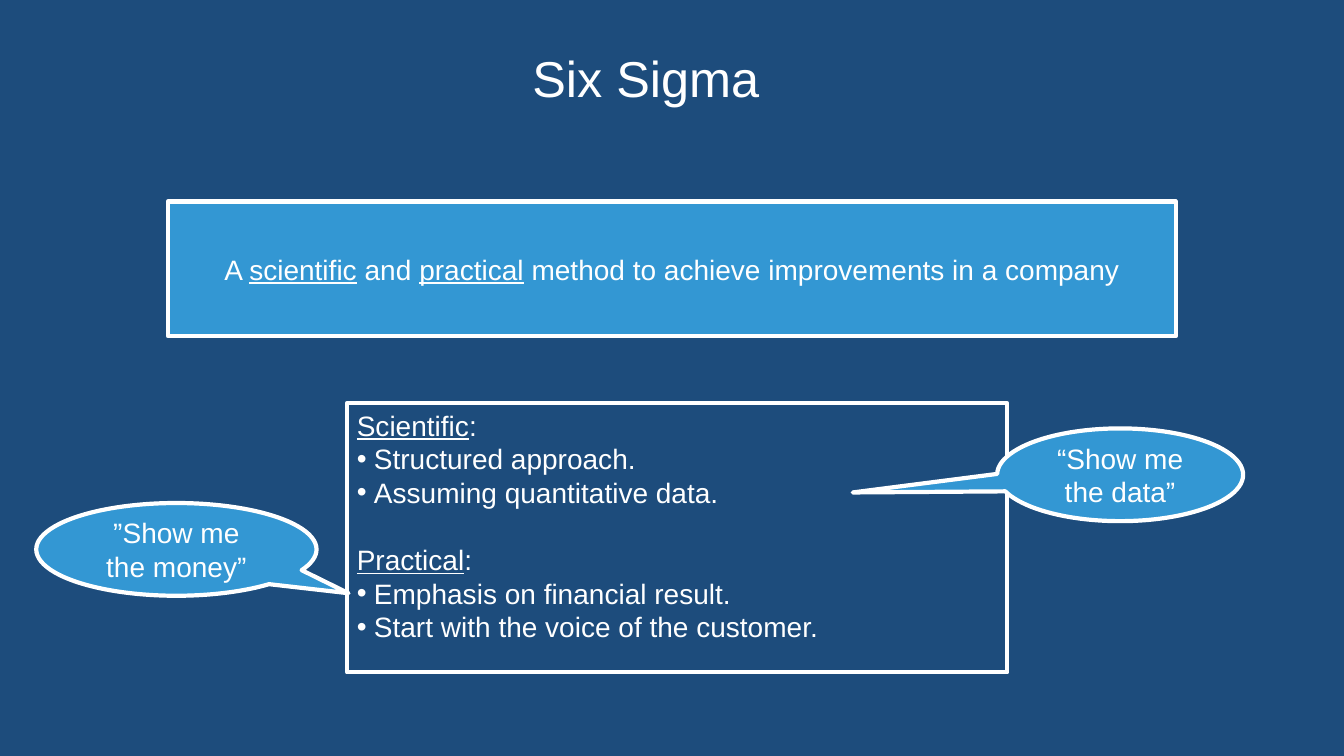
"""Builds the Six Sigma slide: a definition, its two sides, and two callouts."""
from pptx import Presentation
from pptx.dml.color import RGBColor as Rgb
from pptx.enum.shapes import MSO_SHAPE as Kind
from pptx.enum.text import MSO_ANCHOR as Anchor, PP_ALIGN as Align
from pptx.oxml.ns import qn
from pptx.util import Inches, Pt
from lxml.etree import SubElement as Sub

HUES = {"back": "1D4C7C", "fill": "3397D3", "ink": "FFFFFF"}
WIDE, HIGH = 13.33, 7.5
SIZE, HEAD, EDGE = 20, 36, 3
DENT, GAP = 0.17, 24

TITLE = "Six Sigma"
CLAIM = [("A ", False), ("scientific", True), (" and ", False), ("practical", True),
         (" method to achieve improvements in a company", False)]
SIDES = [
    ("Scientific", ["Structured approach.", "Assuming quantitative data."]),
    ("Practical", ["Emphasis on financial result.", "Start with the voice of the customer."]),
]
QUOTES = [
    (["“Show me", "the data”"], (9.89, 4.25, 2.44, 0.92), (-1.087, 0.191)),
    (["”Show me", "the money”"], (0.36, 4.99, 2.78, 0.92), (0.614, 0.473)),
]


def hue(name):
    return Rgb.from_string(HUES[name])


def write(para, runs, size=SIZE):
    for text, under in runs:
        run = para.add_run()
        run.text = text
        font = run.font
        font.name, font.size, font.underline = "Arial", Pt(size), under
        font.color.rgb = hue("ink")


def fill_text(frame, lines, align):
    for num, runs in enumerate(lines):
        para = frame.add_paragraph() if num else frame.paragraphs[0]
        para.alignment = align
        write(para, runs)


def draw(slide, kind, box, solid=True):
    shape = slide.shapes.add_shape(kind, *map(Inches, box))
    shape.shadow.inherit = False
    if solid:
        shape.fill.solid()
        shape.fill.fore_color.rgb = hue("fill")
    else:
        shape.fill.background()
    shape.line.color.rgb = hue("ink")
    shape.line.width = Pt(EDGE)
    shape.text_frame.vertical_anchor = Anchor.MIDDLE if solid else Anchor.TOP
    return shape


def dot(para):
    props = para._p.get_or_add_pPr()
    props.set("marL", str(Inches(DENT)))
    props.set("indent", str(-Inches(DENT)))
    Sub(props, qn("a:buFont"), typeface="Arial")
    Sub(props, qn("a:buChar"), char="•")


deck = Presentation()
deck.slide_width, deck.slide_height = Inches(WIDE), Inches(HIGH)
slide = deck.slides.add_slide(deck.slide_layouts[5])
slide.background.fill.solid()
slide.background.fill.fore_color.rgb = hue("back")

title = slide.shapes.title
title.left, title.top, title.width, title.height = map(Inches, (5.17, 0.42, 2.47, 0.71))
frame = title.text_frame
frame.word_wrap, frame.vertical_anchor = False, Anchor.TOP
frame.paragraphs[0].alignment = Align.CENTER
write(frame.paragraphs[0], [(TITLE, False)], HEAD)

claim = draw(slide, Kind.RECTANGLE, (WIDE / 8, 2, WIDE * 3 / 4, HIGH * 0.178))
fill_text(claim.text_frame, [CLAIM], Align.CENTER)

panel = draw(slide, Kind.RECTANGLE, (3.44, 4, 6.55, 2.67), solid=False)
lines = []
for name, points in SIDES:
    lines.append([(name, True), (":", False)])
    lines += [[(point, False)] for point in points]
fill_text(panel.text_frame, lines, Align.LEFT)
for num, para in enumerate(panel.text_frame.paragraphs):
    if len(para.runs) == 1:
        dot(para)
    elif num:
        para.space_before = Pt(GAP)

for words, box, tip in QUOTES:
    quote = draw(slide, Kind.OVAL_CALLOUT, box)
    quote.adjustments[0], quote.adjustments[1] = tip
    quote.text_frame.word_wrap = False
    fill_text(quote.text_frame, [[(line, False)] for line in words], Align.CENTER)

deck.save("out.pptx")
